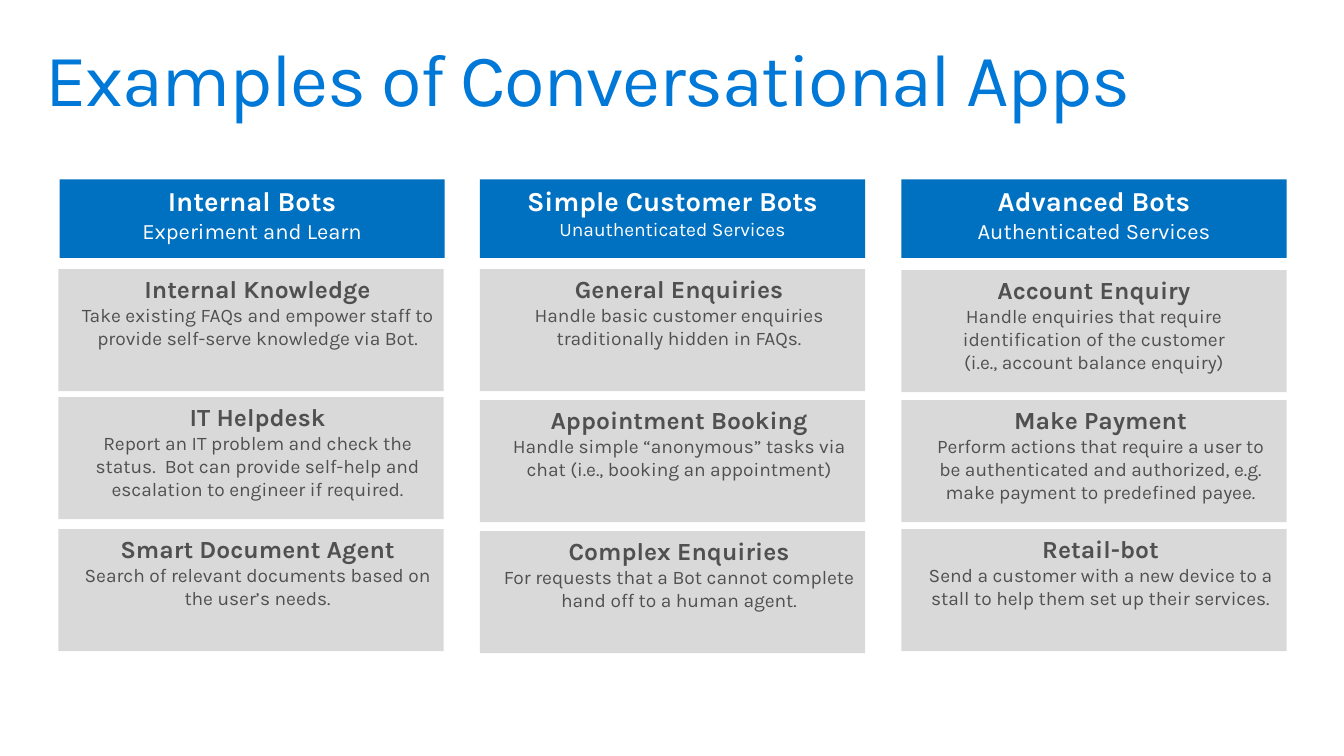
from pptx import Presentation
from pptx.dml.color import RGBColor
from pptx.enum.shapes import MSO_SHAPE
from pptx.enum.text import MSO_ANCHOR, PP_ALIGN
from pptx.util import Inches, Pt

COLORS = {"title": "0078D7", "header": "0070C0", "card": "D9D9D9",
          "white": "FFFFFF", "text": "505050"}
FONT = "Karla"
WIDTH, HEADER_H, CARD_H = 3.82, 0.78, 1.21
HEADER_TOP = 1.78


def add_run(p, text, size, color, bold=False):
    r = p.add_run()
    r.text = text
    r.font.name = FONT
    r.font.size = Pt(size)
    r.font.bold = bold
    r.font.color.rgb = RGBColor.from_string(COLORS[color])
    return r


def add_block(left, top, height, fill, color, inset, lines):
    sp = s.shapes.add_shape(MSO_SHAPE.RECTANGLE, Inches(left), Inches(top),
                            Inches(WIDTH), Inches(height))
    sp.shadow.inherit = False
    sp.fill.solid()
    sp.fill.fore_color.rgb = RGBColor.from_string(COLORS[fill])
    sp.line.fill.background()
    tf = sp.text_frame
    tf.word_wrap = True
    tf.vertical_anchor = MSO_ANCHOR.TOP
    tf.margin_left = Inches(inset)
    tf.margin_right = Inches(0.1)
    for i, (text, size) in enumerate(lines):
        p = tf.add_paragraph() if i else tf.paragraphs[0]
        p.alignment = PP_ALIGN.CENTER
        add_run(p, text, size, color, bold=i == 0)


columns = [
    (0.59, "Internal Bots", "Experiment and Learn", 15.7, 0.58, [
        (2.67, 0.23, "Internal Knowledge",
         ["Take existing FAQs and empower staff to provide self-serve knowledge via Bot."]),
        (3.94, 0.23, "IT Helpdesk",
         ["Report an IT problem and check the status.  Bot can provide self-help "
          "and escalation to engineer if required."]),
        (5.25, 0.23, "Smart Document Agent",
         ["Search of relevant documents based on the user’s needs."]),
    ]),
    (4.76, "Simple Customer Bots", "Unauthenticated Services", 13.7, 4.76, [
        (2.67, 0.23, "General Enquiries",
         ["Handle basic customer enquiries traditionally hidden in FAQs."]),
        (3.97, 0.23, "Appointment Booking",
         ["Handle simple “anonymous” tasks via chat (i.e., booking an appointment)"]),
        (5.27, 0.23, "Complex Enquiries",
         ["For requests that a Bot cannot complete hand off to a human agent."]),
    ]),
    (8.94, "Advanced Bots", "Authenticated Services", 15.7, 8.94, [
        (2.68, 0.1, "Account Enquiry",
         ["Handle enquiries that require identification of the customer",
          "(i.e., account balance enquiry)"]),
        (3.97, 0.23, "Make Payment",
         ["Perform actions that require a user to be authenticated and authorized, "
          "e.g. make payment to predefined payee."]),
        (5.25, 0.23, "Retail-bot",
         ["Send a customer with a new device to a stall to help them set up their services."]),
    ]),
]

prs = Presentation()
prs.slide_width, prs.slide_height = Inches(13.33), Inches(7.5)
s = prs.slides.add_slide(prs.slide_layouts[6])

title = s.shapes.add_textbox(Inches(0.29), Inches(0.32), Inches(12.75), Inches(0.98))
tf = title.text_frame
tf.word_wrap = True
tf.margin_left = tf.margin_right = Inches(0.16)
tf.margin_top = tf.margin_bottom = Inches(0.1)
p = tf.paragraphs[0]
p.line_spacing = 0.9
r = add_run(p, "Examples of Conversational Apps", 52.9, "title")
r.font._element.set("spc", "-100")

for header_left, heading, subtitle, subtitle_size, card_left, cards in columns:
    add_block(header_left, HEADER_TOP, HEADER_H, "header", "white", 0.1,
              [(heading, 19.6), (subtitle, subtitle_size)])
    for top, inset, name, body in cards:
        add_block(card_left, top, CARD_H, "card", "text", inset,
                  [(name, 17.6)] + [(line, 13.7) for line in body])

prs.save("out.pptx")
